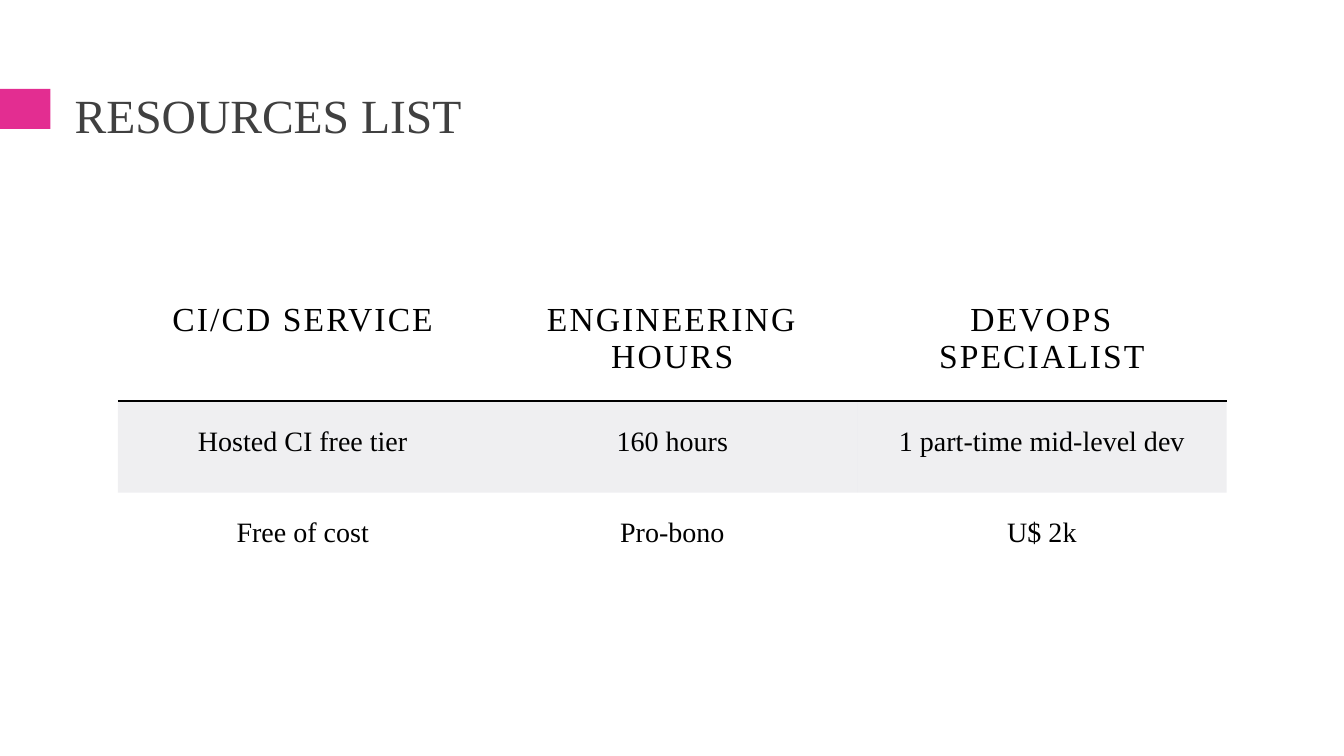
"""Build the resources list slide with its three-column table."""
from dataclasses import dataclass

from lxml.etree import SubElement
from pptx import Presentation
from pptx.dml.color import RGBColor
from pptx.enum.shapes import MSO_SHAPE
from pptx.enum.text import MSO_ANCHOR, PP_ALIGN
from pptx.oxml.ns import qn
from pptx.util import Pt

PINK = RGBColor(0xE3, 0x2D, 0x91)
DARK_GREY = RGBColor(0x40, 0x40, 0x40)
BLACK = RGBColor(0, 0, 0)
BAND_GREY = RGBColor(0xB1, 0xB1, 0xBD)
FONT = "Times New Roman"
PLAIN_TABLE_STYLE = "{2D5ABB26-0587-4C30-8999-92F81FD0307C}"
COLUMN_WIDTH = Pt(264)
CELL_MARGIN = Pt(18)


@dataclass(frozen=True)
class TableRow:
    texts: tuple[str, ...]
    height: float
    size: float = 20
    spacing: float = 0
    banded: bool = False
    ruled: bool = False


ROWS = (
    TableRow(("CI/CD SERVICE", "ENGINEERING HOURS", "DEVOPS SPECIALIST"),
             71.3, size=24, spacing=1.5, ruled=True),
    TableRow(("Hosted CI free tier", "160 hours", "1 part-time mid-level dev"),
             65.5, banded=True),
    TableRow(("Free of cost", "Pro-bono", "U$ 2k"), 65.5),
)


def write_text(frame, text: str, *, size: float, color: RGBColor,
               align: PP_ALIGN, spacing: float = 0,
               line_spacing: float = 1.0) -> None:
    para = frame.paragraphs[0]
    para.alignment = align
    para.line_spacing = line_spacing
    span = para.add_run()
    span.text = text
    span.font.name = FONT
    span.font.size = Pt(size)
    span.font.bold = False
    span.font.color.rgb = color
    if spacing:
        span.font._element.set("spc", str(round(spacing * 100)))


def add_bottom_rule(cell) -> None:
    properties = cell._tc.get_or_add_tcPr()
    line = SubElement(properties, qn("a:lnB"), w=str(Pt(1)))
    fill = SubElement(line, qn("a:solidFill"))
    SubElement(fill, qn("a:srgbClr"), val=str(BLACK))
    properties.insert(0, line)


def fill_band(cell) -> None:
    cell.fill.solid()
    cell.fill.fore_color.rgb = BAND_GREY
    color = cell._tc.tcPr.find(qn("a:solidFill")).find(qn("a:srgbClr"))
    SubElement(color, qn("a:alpha"), val="20000")


def draw_cell(cell, text: str, row: TableRow) -> None:
    cell.margin_left = cell.margin_right = CELL_MARGIN
    cell.margin_top = cell.margin_bottom = CELL_MARGIN
    write_text(cell.text_frame, text, size=row.size, color=BLACK,
               align=PP_ALIGN.CENTER, spacing=row.spacing)
    if row.banded:
        fill_band(cell)
    else:
        cell.fill.background()
    if row.ruled:
        add_bottom_rule(cell)


def draw_table(page, rows: tuple[TableRow, ...]) -> None:
    column_count = len(rows[0].texts)
    table = page.shapes.add_table(
        len(rows), column_count, Pt(84.25), Pt(197.3),
        COLUMN_WIDTH * column_count, Pt(sum(row.height for row in rows))).table
    table.first_row = table.horz_banding = False
    table._tbl.tblPr.find(qn("a:tableStyleId")).text = PLAIN_TABLE_STYLE
    for column in table.columns:
        column.width = COLUMN_WIDTH
    for row_index, row in enumerate(rows):
        table.rows[row_index].height = Pt(row.height)
        for column_index, text in enumerate(row.texts):
            draw_cell(table.cell(row_index, column_index), text, row)


def draw_title(page, text: str) -> None:
    marker = page.shapes.add_shape(
        MSO_SHAPE.RECTANGLE, Pt(0), Pt(63.5), Pt(36), Pt(28.7))
    marker.shadow.inherit = False
    marker.fill.solid()
    marker.fill.fore_color.rgb = PINK
    marker.line.fill.background()

    title = page.shapes.title
    title.left, title.top = Pt(46.1), Pt(55.4)
    title.width, title.height = Pt(868.3), Pt(58.3)
    title.text_frame.vertical_anchor = MSO_ANCHOR.MIDDLE
    write_text(title.text_frame, text, size=34, color=DARK_GREY,
               align=PP_ALIGN.LEFT, line_spacing=0.9)


def main() -> None:
    deck = Presentation()
    deck.slide_width, deck.slide_height = Pt(960), Pt(540)
    page = deck.slides.add_slide(deck.slide_layouts.get_by_name("Title Only"))
    draw_title(page, "RESOURCES LIST")
    draw_table(page, ROWS)
    deck.save("out.pptx")


if __name__ == "__main__":
    main()
